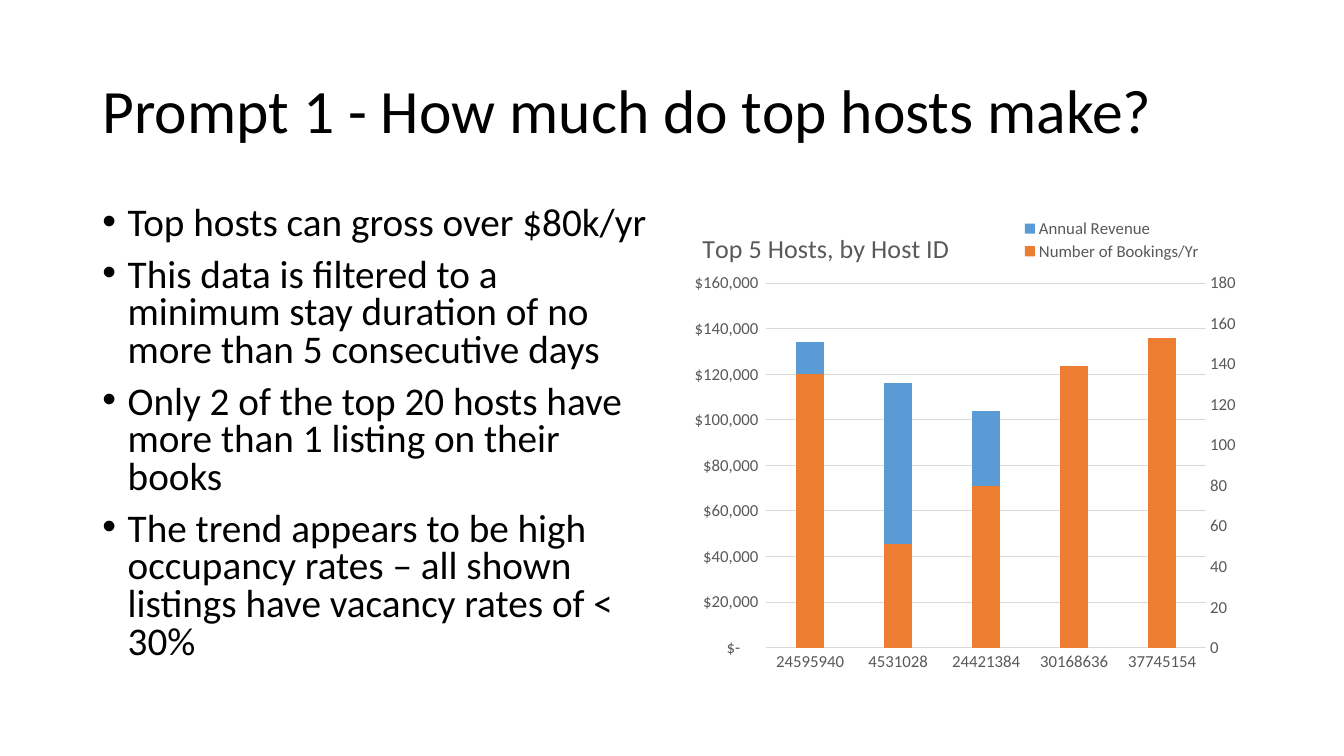
from copy import deepcopy

from lxml import etree
from pptx import Presentation
from pptx.chart.axis import ValueAxis
from pptx.chart.data import CategoryChartData
from pptx.dml.color import RGBColor
from pptx.enum.chart import XL_CHART_TYPE, XL_LEGEND_POSITION, XL_TICK_MARK
from pptx.enum.text import MSO_ANCHOR, MSO_AUTO_SIZE, PP_ALIGN
from pptx.oxml.ns import qn
from pptx.util import Cm, Pt

CLUSTERED = XL_CHART_TYPE.COLUMN_CLUSTERED
LEGEND_RIGHT = XL_LEGEND_POSITION.RIGHT
NO_TICK = XL_TICK_MARK.NONE
MIDDLE = MSO_ANCHOR.MIDDLE
TOP = MSO_ANCHOR.TOP
LEFT = PP_ALIGN.LEFT
NO_FIT = MSO_AUTO_SIZE.NONE

BLACK = RGBColor(0x00, 0x00, 0x00)
GRAY = RGBColor(0x59, 0x59, 0x59)
PALE_GRAY = RGBColor(0xD9, 0xD9, 0xD9)
BLUE = RGBColor(0x5B, 0x9B, 0xD5)
ORANGE = RGBColor(0xED, 0x7D, 0x31)

TITLE = "Prompt 1 - How much do top hosts make?"
FINDINGS = [
    "Top hosts can gross over $80k/yr",
    "This data is filtered to a minimum stay duration of no more than 5 consecutive days",
    "Only 2 of the top 20 hosts have more than 1 listing on their books",
    "The trend appears to be high occupancy rates – all shown listings have vacancy rates of < 30%",
]
HOSTS = ["24595940", "4531028", "24421384", "30168636", "37745154"]
REVENUE = [134000, 116000, 104000, 89000, 88000]
BOOKINGS = [135, 51, 80, 139, 153]
DOLLARS = r'_("$"* #,##0_);_("$"* \(#,##0\);_("$"* "-"??_);_(@_)'


def set_value(parent, tag, value):
    parent.find(qn(tag)).set("val", str(value))


def place_part(element, index, **fractions):
    """Give a chart part a fixed place, in fractions of the chart's size."""
    for old in element.findall(qn("c:layout")):
        element.remove(old)
    layout = etree.Element(qn("c:layout"))
    element.insert(index, layout)
    manual = etree.SubElement(layout, qn("c:manualLayout"))
    if element.tag == qn("c:plotArea"):
        etree.SubElement(manual, qn("c:layoutTarget"), val="inner")
    for side in ("x", "y"):
        etree.SubElement(manual, qn(f"c:{side}Mode"), val="edge")
    for side, fraction in fractions.items():
        etree.SubElement(manual, qn(f"c:{side}"), val=str(fraction))


def move_to_right_axis(chart):
    """Plot the last series on its own value axis and return that axis."""
    plot_area = chart._chartSpace.find(".//" + qn("c:plotArea"))
    bars = plot_area.find(qn("c:barChart"))
    right_bars = deepcopy(bars)
    bars.remove(bars.findall(qn("c:ser"))[-1])
    right_bars.remove(right_bars.find(qn("c:ser")))
    bars.addnext(right_bars)

    category_id, value_id = "5001", "5002"
    for axis_id, number in zip(right_bars.findall(qn("c:axId")), (category_id, value_id)):
        axis_id.set("val", number)
    left_axis = plot_area.find(qn("c:valAx"))
    right_axis = deepcopy(left_axis)
    hidden_axis = deepcopy(plot_area.find(qn("c:catAx")))
    left_axis.addnext(right_axis)
    right_axis.addnext(hidden_axis)
    for axis, own, other in ((right_axis, value_id, category_id), (hidden_axis, category_id, value_id)):
        set_value(axis, "c:axId", own)
        set_value(axis, "c:crossAx", other)
    hidden_axis.get_or_add_delete_().set("val", "1")
    set_value(right_axis, "c:axPos", "r")
    set_value(right_axis, "c:crosses", "max")
    return ValueAxis(right_axis)


class HostSlide:
    font_name = "Calibri"

    def __init__(self, deck):
        self.page = deck.slides.add_slide(deck.slide_layouts[5])

    def style_font(self, font, size, color):
        font.name = self.font_name
        font.size = Pt(size)
        font.bold = False
        font.color.rgb = color

    def fill_text(self, box, lines, size, spacing, anchor=TOP, before=0, bullet=None):
        frame = box.text_frame
        frame.word_wrap = True
        frame.auto_size = NO_FIT
        frame.vertical_anchor = anchor
        for number, line in enumerate(lines):
            para = frame.add_paragraph() if number else frame.paragraphs[0]
            para.alignment = LEFT
            para.line_spacing = spacing
            para.space_before = Pt(before)
            span = para.add_run()
            span.text = line
            self.style_font(span.font, size, BLACK)
            if bullet:
                props = para._p.get_or_add_pPr()
                indent = Cm(0.64)
                props.set("marL", str(indent))
                props.set("indent", str(-indent))
                etree.SubElement(props, qn("a:buFont"), typeface="Arial")
                etree.SubElement(props, qn("a:buChar"), char=bullet)

    def title(self, text):
        box = self.page.shapes.title
        box.left, box.top, box.width, box.height = Cm(2.33), Cm(1.01), Cm(29.21), Cm(3.68)
        self.fill_text(box, [text], size=44, spacing=0.9, anchor=MIDDLE)

    def bullets(self, lines):
        box = self.page.shapes.add_textbox(Cm(2.33), Cm(5.08), Cm(14.4), Cm(12.09))
        self.fill_text(box, lines, size=28, spacing=0.8, before=10, bullet="•")

    def axis(self, axis, top=None, step=None):
        self.style_font(axis.tick_labels.font, 12, GRAY)
        axis.major_tick_mark = axis.minor_tick_mark = NO_TICK
        if top:
            axis.minimum_scale, axis.maximum_scale, axis.major_unit = 0, top, step
            axis.format.line.fill.background()
        else:
            axis.format.line.color.rgb = PALE_GRAY
            axis.format.line.width = Pt(0.75)

    def host_chart(self):
        data = CategoryChartData()
        data.categories = HOSTS
        data.add_series("Annual Revenue", REVENUE)
        data.add_series("Number of Bookings/Yr", BOOKINGS)
        chart = self.page.shapes.add_chart(
            CLUSTERED, Cm(17.15), Cm(5.08), Cm(14.4), Cm(12.09), data).chart
        self.style_font(chart.font, 10, BLACK)

        plot = chart.plots[0]
        plot.vary_by_categories = False
        plot.gap_width, plot.overlap = 219, -27
        for series, color in zip(plot.series, (BLUE, ORANGE)):
            series.format.fill.solid()
            series.format.fill.fore_color.rgb = color

        self.axis(chart.category_axis)
        left = chart.value_axis
        self.axis(left, top=160000, step=20000)
        right = move_to_right_axis(chart)
        self.axis(right, top=180, step=20)
        right.has_major_gridlines = False
        for axis, number_format in ((left, DOLLARS), (right, "General")):
            axis.tick_labels.number_format = number_format
            axis.tick_labels.number_format_is_linked = False
        left.has_major_gridlines = True
        grid = left.major_gridlines.format.line
        grid.color.rgb = PALE_GRAY
        grid.width = Pt(0.75)

        heading = chart.chart_title
        heading.text_frame.text = "Top 5 Hosts, by Host ID"
        self.style_font(heading.text_frame.paragraphs[0].runs[0].font, 18.6, GRAY)
        chart.has_legend = True
        legend = chart.legend
        legend.position = LEGEND_RIGHT
        legend.include_in_layout = True
        self.style_font(legend.font, 12, GRAY)

        place_part(heading._element, 1, x=0.03, y=0.05)
        place_part(legend._element, 1, x=0.56, y=0.03, w=0.39, h=0.1)
        place_part(chart._chartSpace.find(".//" + qn("c:plotArea")), 0,
                   x=0.15, y=0.17, w=0.77, h=0.76)


def main():
    deck = Presentation()
    deck.slide_width, deck.slide_height = Cm(33.87), Cm(19.05)
    slide = HostSlide(deck)
    slide.title(TITLE)
    slide.bullets(FINDINGS)
    slide.host_chart()
    deck.save("out.pptx")


if __name__ == "__main__":
    main()
